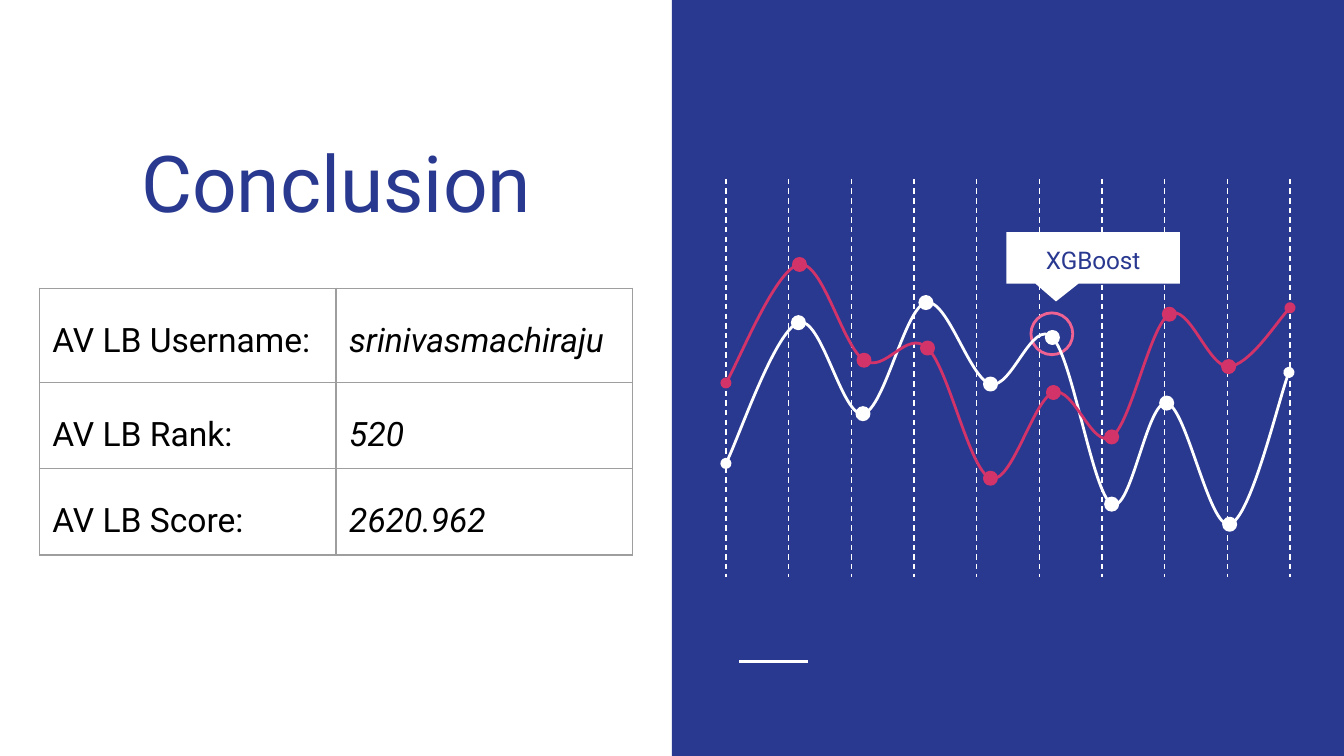
from dataclasses import dataclass

from lxml import etree
from pptx import Presentation
from pptx import util as u
from pptx.dml.color import RGBColor
from pptx.enum import dml, shapes, text
from pptx.oxml.ns import qn


@dataclass(frozen=True)
class Theme:
    font: str = "Roboto"
    white: str = "FFFFFF"
    blue: str = "2A3990"
    red: str = "D23369"
    pink: str = "F06292"
    grey: str = "9E9E9E"
    black: str = "000000"
    title_size: float = 42
    table_size: float = 18
    callout_size: float = 13
    line: float = 1.5
    thin_line: float = 0.75


@dataclass(frozen=True)
class Series:
    color: str
    points: tuple[tuple[float, float], ...]


THEME = Theme()
WIDTH, HEIGHT = 25.4, 14.29
MARGIN = 0.25
DOT = 0.23
GRID_LEFT, GRID_RIGHT, GRID_TOP, GRID_BOTTOM = 13.72, 24.38, 3.38, 10.9
GRID_LINES = 10
COLUMN_WIDTH = 5.61
ROW_HEIGHTS = (1.78, 1.63, 1.63)
ROWS = (
    ("AV LB Username:", "srinivasmachiraju"),
    ("AV LB Rank:", "520"),
    ("AV LB Score:", "2620.962"),
)
WHITE_SERIES = Series(THEME.white, (
    (13.72, 8.76), (15.09, 6.1), (16.31, 7.82), (17.5, 5.72), (18.72, 7.26),
    (19.89, 6.38), (21.01, 9.53), (22.05, 7.62), (23.24, 9.91), (24.36, 7.04),
))
RED_SERIES = Series(THEME.red, (
    (13.72, 7.24), (15.11, 5.0), (16.33, 6.81), (17.53, 6.58), (18.72, 9.04),
    (19.91, 7.42), (21.01, 8.26), (22.1, 5.94), (23.22, 6.93), (24.38, 5.82),
))


def rgb(color: str) -> RGBColor:
    return RGBColor.from_string(color)


def style_line(line, color: str, width: float) -> None:
    line.color.rgb = rgb(color)
    line.width = u.Pt(width)


def add_shape(slide, kind, left: float, top: float, width: float, height: float,
              fill: str | None = None, line: str | None = None):
    shape = slide.shapes.add_shape(kind, u.Cm(left), u.Cm(top), u.Cm(width), u.Cm(height))
    shape.shadow.inherit = False
    if fill:
        shape.fill.solid()
        shape.fill.fore_color.rgb = rgb(fill)
    else:
        shape.fill.background()
    if line:
        style_line(shape.line, line, THEME.line)
    else:
        shape.line.fill.background()
    return shape


def add_circle(slide, center: tuple[float, float], size: float, color: str,
               filled: bool = True) -> None:
    x, y = center
    add_shape(slide, shapes.MSO_SHAPE.OVAL, x - size / 2, y - size / 2, size, size,
              color if filled else None, color)


def add_line(slide, x1: float, y1: float, x2: float, y2: float, width: float):
    connector = slide.shapes.add_connector(
        shapes.MSO_CONNECTOR.STRAIGHT, u.Cm(x1), u.Cm(y1), u.Cm(x2), u.Cm(y2))
    style_line(connector.line, THEME.white, width)
    etree.SubElement(connector.element.spPr, qn("a:effectLst"))
    return connector


def set_text(text_frame, content: str, size: float, color: str, spacing: float = 1.0,
             alignment=text.PP_ALIGN.LEFT, italic: bool = False) -> None:
    text_frame.text = content
    paragraph = text_frame.paragraphs[0]
    paragraph.alignment = alignment
    paragraph.line_spacing = spacing
    font = paragraph.runs[0].font
    font.name, font.size, font.italic = THEME.font, u.Pt(size), italic
    font.color.rgb = rgb(color)


def set_margins(frame) -> None:
    """Give a text frame or table cell equal margins on all sides."""
    frame.margin_left = frame.margin_right = u.Cm(MARGIN)
    frame.margin_top = frame.margin_bottom = u.Cm(MARGIN)


def spline_controls(points: tuple[tuple[float, float], ...]) -> list[tuple[float, float]]:
    """Return two handles and an end point for each Catmull-Rom segment."""
    padded = (points[0], *points, points[-1])
    controls = []
    for before, start, end, after in zip(padded, padded[1:], padded[2:], padded[3:]):
        controls += [
            tuple(s + (e - b) / 6 for b, s, e in zip(before, start, end)),
            tuple(e - (a - s) / 6 for s, e, a in zip(start, end, after)),
            end,
        ]
    return controls


def add_curve(slide, series: Series) -> None:
    """Draw a smooth open curve, turning each three line segments into one Bézier."""
    x, y = series.points[0]
    builder = slide.shapes.build_freeform(u.Cm(x), u.Cm(y))
    builder.add_line_segments(
        [(u.Cm(x), u.Cm(y)) for x, y in spline_controls(series.points)], close=False)
    curve = builder.convert_to_shape()
    curve.shadow.inherit = False
    curve.fill.background()
    style_line(curve.line, series.color, THEME.line)

    properties = curve.element.spPr
    outline = next(properties.iter(qn("a:path")))
    segments = outline.findall(qn("a:lnTo"))
    for index in range(0, len(segments), 3):
        bezier = etree.SubElement(outline, qn("a:cubicBezTo"))
        for segment in segments[index:index + 3]:
            bezier.append(segment[0])
            outline.remove(segment)
    for end in ("a:headEnd", "a:tailEnd"):
        etree.SubElement(properties.find(qn("a:ln")), qn(end), type="oval")


def add_series(slide, series: Series) -> None:
    add_curve(slide, series)
    for point in series.points[1:-1]:
        add_circle(slide, point, DOT, series.color)


def add_borders(cell) -> None:
    properties = cell._tc.get_or_add_tcPr()
    for side in ("a:lnL", "a:lnR", "a:lnT", "a:lnB"):
        border = etree.SubElement(properties, qn(side), w=str(u.Pt(THEME.thin_line)))
        fill = etree.SubElement(border, qn("a:solidFill"))
        etree.SubElement(fill, qn("a:srgbClr"), val=THEME.grey)


def add_result_table(slide) -> None:
    table = slide.shapes.add_table(
        len(ROWS), 2, u.Cm(0.74), u.Cm(5.45),
        u.Cm(2 * COLUMN_WIDTH), u.Cm(sum(ROW_HEIGHTS))).table
    table.first_row = table.horz_banding = False
    for column in table.columns:
        column.width = u.Cm(COLUMN_WIDTH)
    for row, height, contents in zip(table.rows, ROW_HEIGHTS, ROWS):
        row.height = u.Cm(height)
        for index, (cell, content) in enumerate(zip(row.cells, contents)):
            add_borders(cell)
            cell.fill.background()
            set_margins(cell)
            set_text(cell.text_frame, content, THEME.table_size, THEME.black,
                     spacing=1.5, italic=index == 1)


def add_title(slide) -> None:
    title = slide.shapes.title
    title.left, title.top, title.width, title.height = (
        u.Cm(0.74), u.Cm(2.06), u.Cm(11.23), u.Cm(2.51))
    title.text_frame.vertical_anchor = text.MSO_ANCHOR.BOTTOM
    set_margins(title.text_frame)
    set_text(title.text_frame, "Conclusion", THEME.title_size, THEME.blue,
             alignment=text.PP_ALIGN.CENTER)


def add_callout(slide) -> None:
    callout = add_shape(slide, shapes.MSO_SHAPE.ROUNDED_RECTANGULAR_CALLOUT,
                        19.02, 4.39, 3.28, 0.97, THEME.white)
    for index, value in enumerate((-0.214, 0.85, 0)):
        callout.adjustments[index] = value
    set_margins(callout.text_frame)
    callout.text_frame.vertical_anchor = text.MSO_ANCHOR.MIDDLE
    set_text(callout.text_frame, "XGBoost", THEME.callout_size, THEME.blue,
             spacing=1.15, alignment=text.PP_ALIGN.CENTER)


def main() -> None:
    presentation = Presentation()
    presentation.slide_width, presentation.slide_height = u.Cm(WIDTH), u.Cm(HEIGHT)
    slide = presentation.slides.add_slide(presentation.slide_layouts[5])
    add_title(slide)
    add_shape(slide, shapes.MSO_SHAPE.RECTANGLE, WIDTH / 2, 0, WIDTH / 2, HEIGHT, THEME.blue)
    add_line(slide, 13.97, 12.5, 15.27, 12.5, THEME.line)
    for index in range(GRID_LINES):
        x = GRID_LEFT + index * (GRID_RIGHT - GRID_LEFT) / (GRID_LINES - 1)
        grid_line = add_line(slide, x, GRID_TOP, x, GRID_BOTTOM, THEME.thin_line)
        grid_line.line.dash_style = dml.MSO_LINE.DASH
    add_circle(slide, (19.88, 6.31), 0.79, THEME.pink, filled=False)
    add_series(slide, WHITE_SERIES)
    add_callout(slide)
    add_series(slide, RED_SERIES)
    add_result_table(slide)
    presentation.save("out.pptx")


if __name__ == "__main__":
    main()
